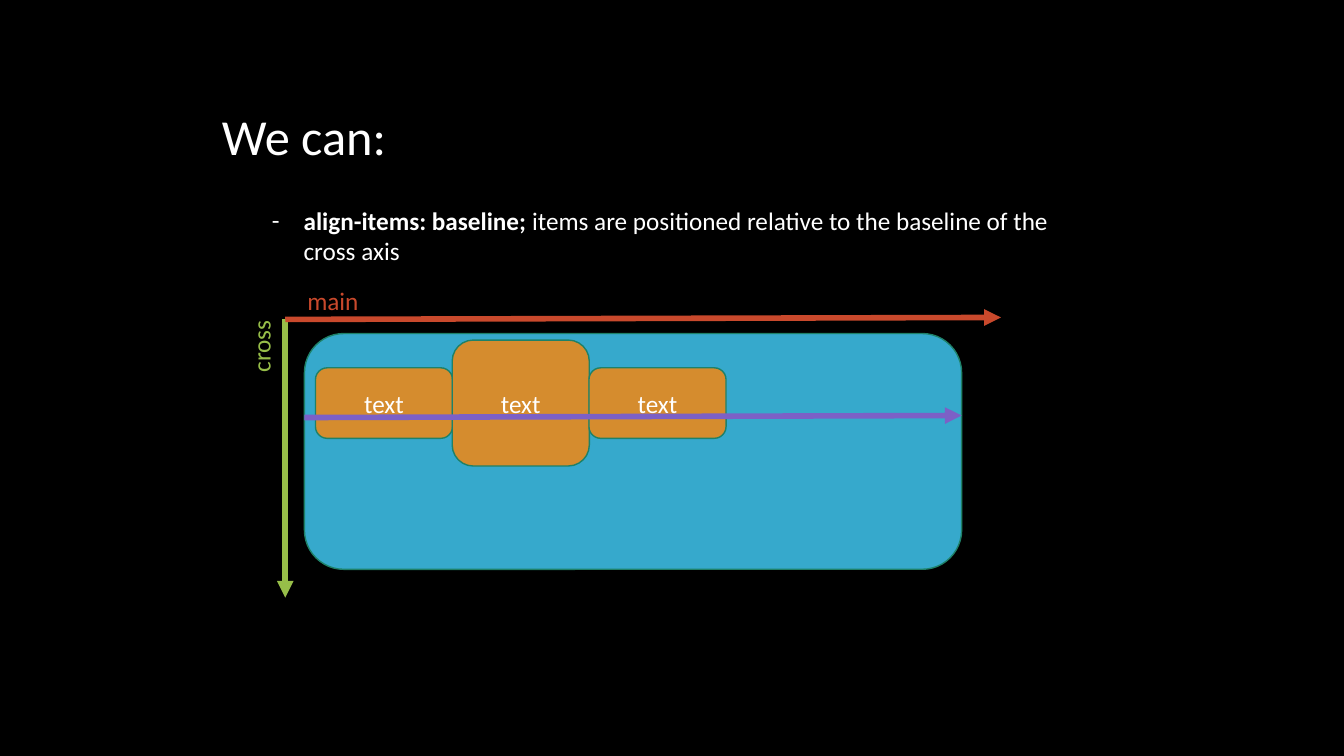
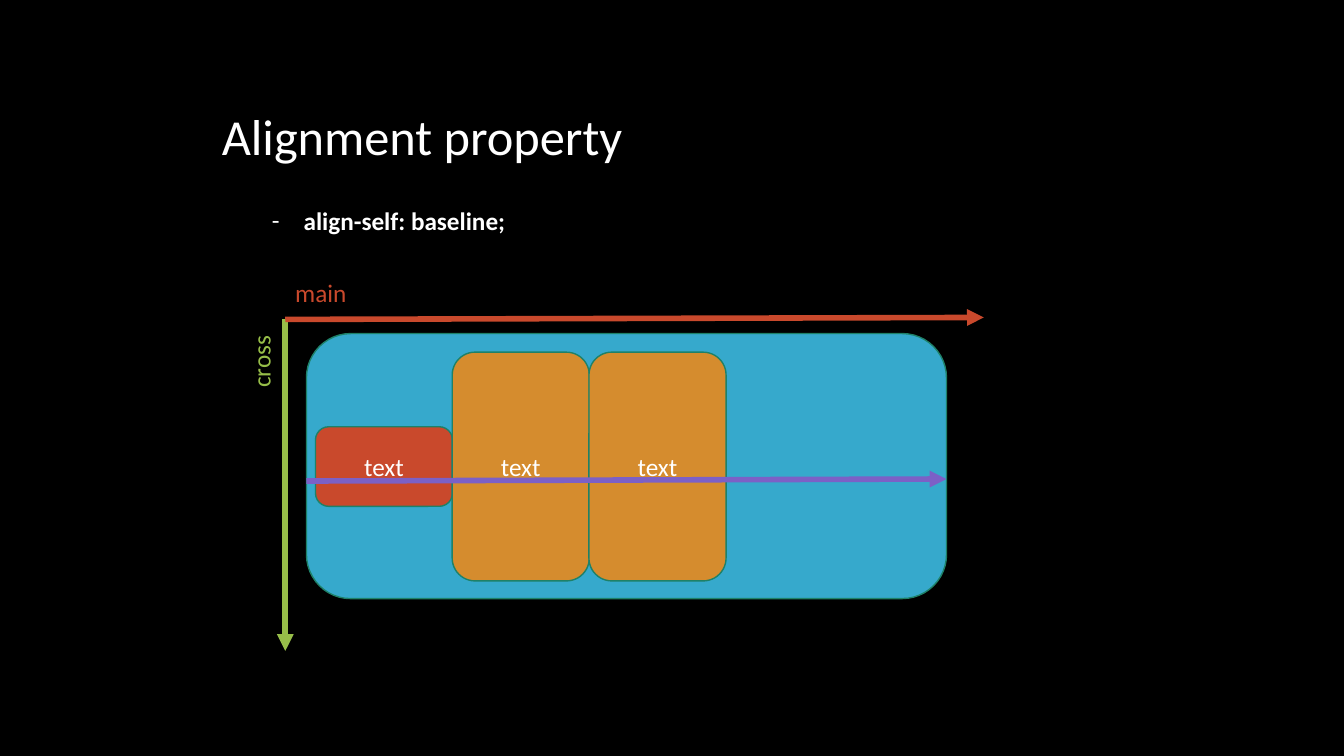
from lxml import etree
from pptx import Presentation
from pptx.dml.color import RGBColor
from pptx.enum.shapes import MSO_CONNECTOR, MSO_SHAPE
from pptx.enum.text import MSO_ANCHOR, MSO_AUTO_SIZE, PP_ALIGN
from pptx.oxml.ns import qn
from pptx.util import Inches, Pt

ROUNDED = MSO_SHAPE.ROUNDED_RECTANGLE
STRAIGHT = MSO_CONNECTOR.STRAIGHT
TOP, MIDDLE = MSO_ANCHOR.TOP, MSO_ANCHOR.MIDDLE
LEFT, CENTER = PP_ALIGN.LEFT, PP_ALIGN.CENTER
FIT_SHAPE = MSO_AUTO_SIZE.SHAPE_TO_FIT_TEXT

BLACK = RGBColor(0x00, 0x00, 0x00)
WHITE = RGBColor(0xFF, 0xFF, 0xFF)
BLUE = RGBColor(0x36, 0xA9, 0xCC)
ORANGE = RGBColor(0xD5, 0x8C, 0x2E)
RED = RGBColor(0xC9, 0x49, 0x2C)
GREEN = RGBColor(0x97, 0xBE, 0x49)
PURPLE = RGBColor(0x7C, 0x60, 0xC6)
OUTLINE = RGBColor(0x1E, 0x81, 0x68)

FONT = "Calibri"
TITLE_ONLY = 5
COLUMNS = 40
AXIS_X, AXIS_Y = 8.49, 9.51
CONTAINER_TOP = 9.93
ITEM_LEFT, ITEM_WIDTH, ITEM_PITCH = 9.39, 4.08, 4.07
BASELINE_DROP = 0.43
ARROW_RISE = 0.06


class Deck:
    def __init__(self):
        self.presentation = Presentation()
        self.presentation.slide_width = Inches(13.33)
        self.presentation.slide_height = Inches(7.5)
        self.cell = self.presentation.slide_width / COLUMNS
        self.slide = None

    def grid(self, *cells):
        return [round(count * self.cell) for count in cells]

    def add_text(self, paragraph, text, color=WHITE, size=18, bold=False):
        run = paragraph.add_run()
        run.text = text
        run.font.name = FONT
        run.font.size = Pt(size)
        run.font.bold = bold
        run.font.color.rgb = color

    def add_slide(self, heading, heading_width):
        layout = self.presentation.slide_layouts[TITLE_ONLY]
        self.slide = self.presentation.slides.add_slide(layout)
        background = self.slide.background.fill
        background.solid()
        background.fore_color.rgb = BLACK
        title = self.slide.shapes.title
        title.left, title.top, title.width, title.height = self.grid(
            6.3, 2.97, heading_width, 2.13)
        frame = title.text_frame
        frame.word_wrap = False
        frame.auto_size = FIT_SHAPE
        frame.vertical_anchor = TOP
        frame.paragraphs[0].alignment = LEFT
        self.add_text(frame.paragraphs[0], heading, size=36)

    def text_box(self, left, top, width, height):
        box = self.slide.shapes.add_textbox(*self.grid(left, top, width, height))
        box.text_frame.word_wrap = True
        box.text_frame.auto_size = FIT_SHAPE
        return box

    def bullet(self, height, declaration, explanation=""):
        paragraph = self.text_box(7.8, 5.97, 24.78, height).text_frame.paragraphs[0]
        properties = paragraph._p.get_or_add_pPr()
        indent, = self.grid(0.94)
        properties.set("marL", str(indent))
        properties.set("indent", str(-indent))
        etree.SubElement(properties, qn("a:buFont"), typeface=FONT)
        etree.SubElement(properties, qn("a:buChar"), char="-")
        self.add_text(paragraph, declaration, bold=True)
        if explanation:
            self.add_text(paragraph, explanation)

    def label(self, text, left, top, color, rotation=0):
        box = self.text_box(left, top, 2.43, 1.2)
        box.rotation = rotation
        self.add_text(box.text_frame.paragraphs[0], text, color)

    def block(self, left, top, width, height, color, text=""):
        block = self.slide.shapes.add_shape(
            ROUNDED, *self.grid(left, top, width, height))
        block.shadow.inherit = False
        block.fill.solid()
        block.fill.fore_color.rgb = color
        block.line.color.rgb = OUTLINE
        block.line.width = Pt(1)
        if text:
            block.text_frame.vertical_anchor = MIDDLE
            paragraph = block.text_frame.paragraphs[0]
            paragraph.alignment = CENTER
            self.add_text(paragraph, text)

    def arrow(self, start_x, start_y, end_x, end_y, color):
        arrow = self.slide.shapes.add_connector(
            STRAIGHT, *self.grid(start_x, start_y, end_x, end_y))
        arrow.line.color.rgb = color
        arrow.line.width = Pt(4)
        properties = arrow._element.spPr
        etree.SubElement(properties.get_or_add_ln(), qn("a:tailEnd"), type="triangle")
        etree.SubElement(properties, qn("a:effectLst"))

    def flex_container(self, left, width, height, center, items):
        self.block(left, CONTAINER_TOP, width, height, BLUE)
        for index, (item_height, color) in enumerate(items):
            self.block(ITEM_LEFT + index * ITEM_PITCH, center - item_height / 2,
                       ITEM_WIDTH, item_height, color, "text")

    def axes(self, main_end, cross_end, main_label, cross_label_top):
        self.arrow(AXIS_X, AXIS_Y, AXIS_X, cross_end, GREEN)
        self.arrow(AXIS_X, AXIS_Y, main_end, AXIS_Y - ARROW_RISE, RED)
        self.label("main", *main_label, RED)
        self.label("cross", 6.54, cross_label_top, GREEN, rotation=270)

    def baseline(self, left, width, center):
        level = center + BASELINE_DROP
        self.arrow(left, level, left + width, level - ARROW_RISE, PURPLE)


def main():
    deck = Deck()

    deck.add_slide("We can:", 5.55)
    deck.flex_container(9.06, 19.56, 7.02, 12,
                        [(2.1, ORANGE), (3.75, ORANGE), (2.1, ORANGE)])
    deck.axes(29.79, 17.79, (8.85, 8.34), 9.57)
    deck.bullet(2.13, "align-items: baseline;",
                " items are positioned relative to the baseline of the cross axis")
    deck.baseline(9.06, 19.56, 12)

    deck.add_slide("Alignment property", 12.63)
    deck.flex_container(9.12, 19.05, 7.89, 13.89,
                        [(2.37, RED), (6.81, ORANGE), (6.81, ORANGE)])
    deck.axes(29.28, 19.38, (8.49, 8.1), 10.02)
    deck.bullet(1.2, "align-self: baseline;")
    deck.baseline(9.12, 19.05, 13.89)

    deck.presentation.save("out.pptx")


if __name__ == "__main__":
    main()
